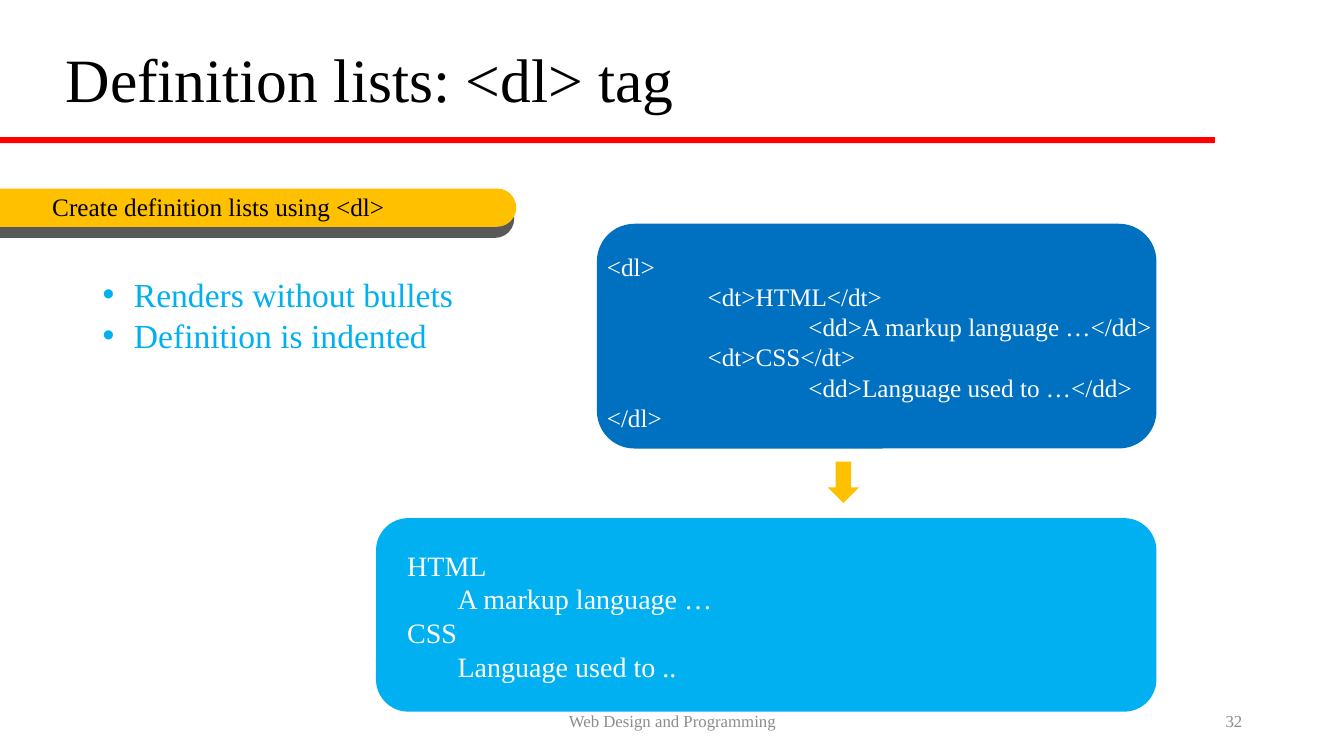
import pptx
import pptx.util
import pptx.dml.color
import pptx.enum.shapes
import pptx.enum.text
import pptx.oxml.ns
import lxml.etree

Inches = pptx.util.Inches
SHAPE = pptx.enum.shapes.MSO_SHAPE
ALIGN = pptx.enum.text.PP_ALIGN
ANCHOR = pptx.enum.text.MSO_ANCHOR
AUTO = pptx.enum.text.MSO_AUTO_SIZE
qn = pptx.oxml.ns.qn

COLORS = {
    "black": "000000", "white": "FFFFFF", "red": "FF0000", "amber": "FFC000",
    "shade": "595959", "blue": "0070C0", "sky": "00B0F0", "gray": "8C8C8C",
}

prs = pptx.Presentation()
prs.slide_width, prs.slide_height = Inches(13.33), Inches(7.5)
s = prs.slides.add_slide(prs.slide_layouts[5])


def add_block(kind, box, color, rotation=0):
    sp = s.shapes.add_shape(kind, *map(Inches, box))
    sp.rotation = rotation
    sp.shadow.inherit = False
    sp.fill.solid()
    sp.fill.fore_color.rgb = pptx.dml.color.RGBColor.from_string(COLORS[color])
    sp.line.fill.background()
    return sp


def add_text(lines, box, size, color, sp=None, align=ALIGN.LEFT, anchor=ANCHOR.TOP,
             wrap=True, grow=False, spacing=None, indent=0, hanging=0, bullet=None, tabs=()):
    """Write lines of text; a (text, level) pair at level 1 takes the indent."""
    if sp is None:
        sp = s.shapes.add_textbox(*map(Inches, box))
    else:
        sp.left, sp.top, sp.width, sp.height = map(Inches, box)
    tf = sp.text_frame
    tf.word_wrap = wrap
    tf.auto_size = AUTO.SHAPE_TO_FIT_TEXT if grow else AUTO.NONE
    tf.vertical_anchor = anchor
    for i, (text, level) in enumerate(lines):
        p = tf.add_paragraph() if i else tf.paragraphs[0]
        p.alignment = align
        p.level = level
        if spacing:
            p.line_spacing = spacing
        pPr = p._p.get_or_add_pPr()
        if level:
            pPr.set("marL", str(Inches(indent)))
            pPr.set("indent", str(Inches(hanging)))
        if bullet:
            lxml.etree.SubElement(pPr, qn("a:buFont"), typeface="Arial")
            lxml.etree.SubElement(pPr, qn("a:buChar"), char=bullet)
        if tabs:
            tab_list = lxml.etree.SubElement(pPr, qn("a:tabLst"))
            for pos in tabs:
                lxml.etree.SubElement(tab_list, qn("a:tab"), pos=str(Inches(pos)), algn="l")
        r = p.add_run()
        r.text = text
        r.font.size = pptx.util.Pt(size)
        r.font.name = "Times New Roman"
        r.font.color.rgb = pptx.dml.color.RGBColor.from_string(COLORS[color])


# Title and rule
add_text([("Definition lists: <dl> tag", 0)], (0.55, 0.09, 11.5, 1.45), 44, "black",
         sp=s.shapes.title, anchor=ANCHOR.MIDDLE, spacing=0.9)
add_block(SHAPE.RECTANGLE, (0, 1.36, 12.05, 0.06), "red")

# Section tab with its shade, turned so the round end points right
for left, top, color in ((2.35, -0.39, "shade"), (2.37, -0.5, "amber")):
    sp = add_block(SHAPE.ROUND_2_SAME_RECTANGLE, (left, top, 0.38, 5.12), color, rotation=90)
    sp.adjustments[0] = 0.5
    sp.adjustments[1] = 0
add_text([("Create definition lists using <dl>", 0)], (0.42, 1.85, 3.53, 0.4), 18, "black",
         wrap=False, grow=True)

# Code panel
add_block(SHAPE.ROUNDED_RECTANGLE, (5.92, 2.22, 5.55, 2.23), "blue")
code = ["<dl>", "\t<dt>HTML</dt>", "\t\t<dd>A markup language …</dd>",
        "\t<dt>CSS</dt>", "\t\t<dd>Language used to …</dd>", "</dl>"]
add_text([(line, 0) for line in code], (5.92, 2.44, 5.98, 1.92), 18, "white",
         grow=True, tabs=(1, 2))

# Rendered result panel
add_block(SHAPE.ROUNDED_RECTANGLE, (3.73, 5.14, 7.74, 1.92), "sky")
add_text([("HTML", 0), ("A markup language …", 1), ("CSS", 0), ("Language used to ..", 1)],
         (3.94, 5.39, 6.75, 1.45), 20, "white", grow=True, indent=0.5)

# Bullets
add_text([("Renders without bullets", 1), ("Definition is indented", 1)],
         (0.42, 2.67, 4.44, 0.91), 24, "sky", grow=True, indent=0.81, hanging=-0.31, bullet="•")

# Arrow from code to result
add_block(SHAPE.DOWN_ARROW, (8.21, 4.58, 0.31, 0.41), "amber")

# Footer and page number
add_text([("Web Design and Programming", 0)], (4.42, 6.95, 4.5, 0.4), 12, "gray",
         align=ALIGN.CENTER, anchor=ANCHOR.MIDDLE)
add_text([("32", 0)], (9.42, 6.95, 3, 0.4), 12, "gray",
         align=ALIGN.RIGHT, anchor=ANCHOR.MIDDLE)

prs.save("out.pptx")
